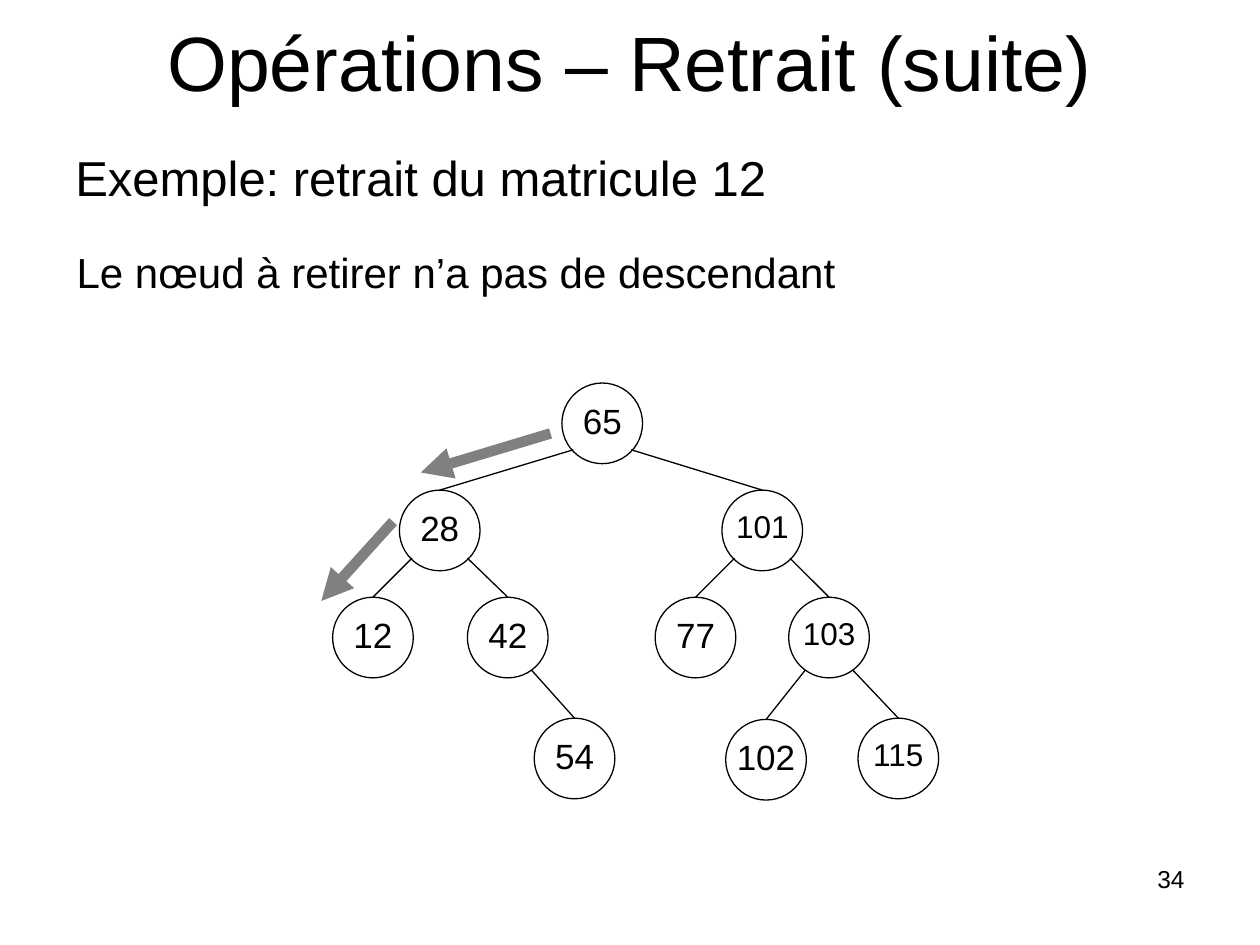
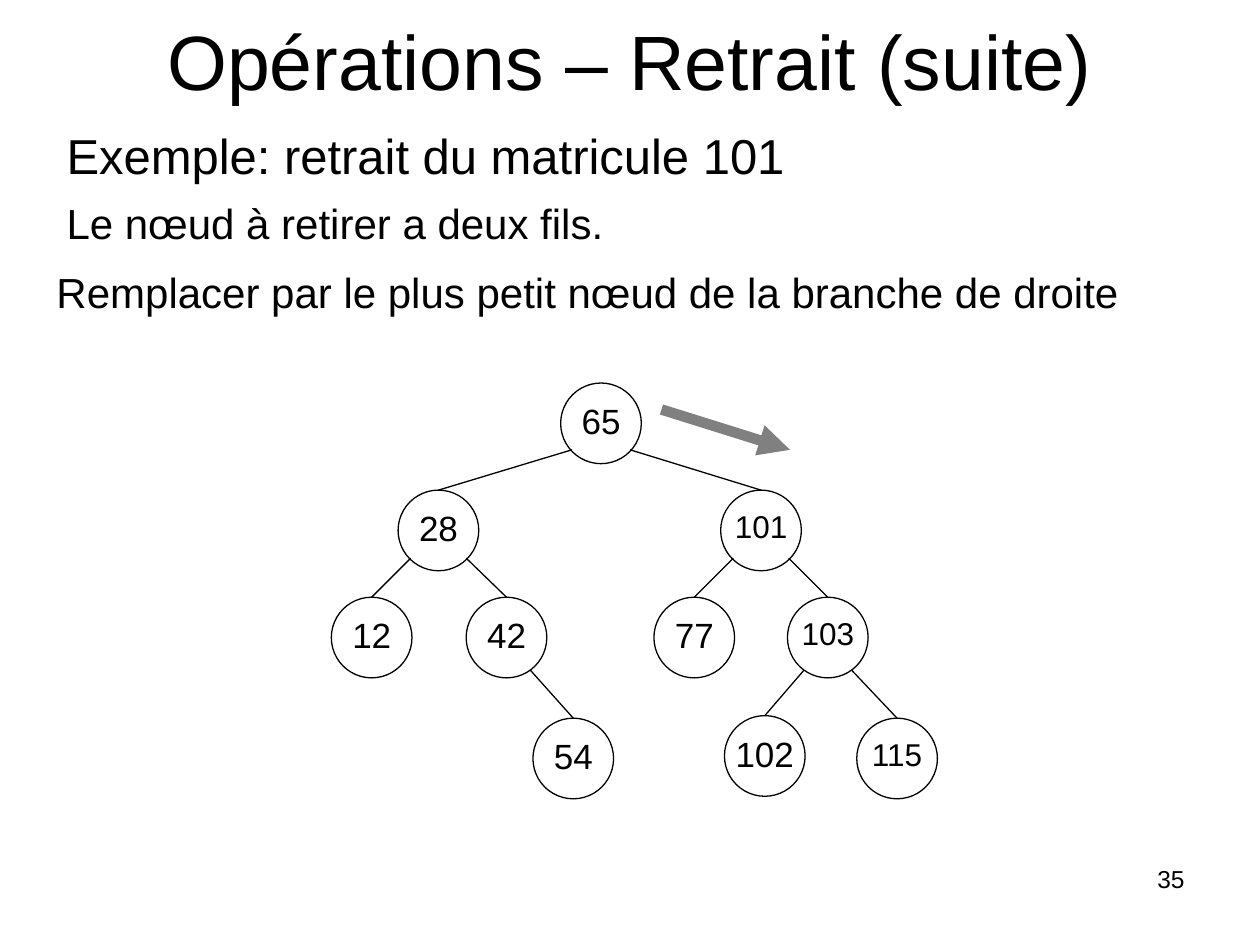
from lxml import etree
from pptx import Presentation
from pptx.dml.color import RGBColor
from pptx.enum.shapes import MSO_CONNECTOR, MSO_SHAPE
from pptx.enum.text import MSO_ANCHOR, PP_ALIGN
from pptx.oxml.ns import qn
from pptx.util import Inches, Pt

LEFT, MID, RIGHT = PP_ALIGN.LEFT, PP_ALIGN.CENTER, PP_ALIGN.RIGHT
TOP, CENTRE = MSO_ANCHOR.TOP, MSO_ANCHOR.MIDDLE
OVAL, LINE = MSO_SHAPE.OVAL, MSO_CONNECTOR.STRAIGHT
BLACK = RGBColor(0, 0, 0)
GREY = RGBColor(0x80, 0x80, 0x80)
FONT = "Arial"

TITLE = "Opérations – Retrait (suite)"

NODES = {
    "65": (4.46, 0, None),
    "28": (3.17, 1, "65"),
    "101": (5.73, 1, "65"),
    "12": (2.64, 2, "28"),
    "42": (3.71, 2, "28"),
    "77": (5.2, 2, "101"),
    "103": (6.26, 2, "101"),
    "54": (4.24, 3, "42"),
    "102": (5.76, 3, "103"),
    "115": (6.81, 3, "103"),
}
SMALL = {"101", "103", "115"}
ROWS = [3.04, 3.89, 4.74, 5.7]
FEET = [(0.23, 0.21), (0.22, 0.22), (0.19, 0.26)]
SIZE = 0.64
INSET = 0.16
WIDE = {(2, 20): 0.32, (3, 18): 0.44, (3, 20): 0.5}

SLIDES = [
    {
        "page": "34", "top": -0.1, "shift": 0, "drop": {"102": 0.01},
        "notes": [
            ("Exemple: retrait du matricule 12", (0.5, 1.16, 9, 4.95), 28, True),
            ("Le nœud à retirer n’a pas de descendant", (0.51, 1.94, 6.3, 0.47), 24, True),
        ],
        "arrows": [((4.37, 3.44), (3.34, 3.75)), ((3.12, 4.14), (2.55, 4.77))],
    },
    {
        "page": "35", "top": -0.11, "shift": -0.01, "drop": {"102": -0.02},
        "notes": [
            ("Exemple: retrait du matricule 101", (0.43, 0.99, 9, 4.95), 28, True),
            ("Le nœud à retirer a deux fils.", (0.43, 1.55, 5.04, 0.47), 24, True),
            ("Remplacer par le plus petit nœud de la branche de droite",
             (0.35, 2.1, 8.63, 0.47), 24, False),
        ],
        "arrows": [((5.25, 3.25), (6.27, 3.57))],
    },
]


def write(shapes, text, box, size, align=LEFT, anchor=TOP, wrap=True, pad=(0.1, 0.05)):
    frame = shapes.add_textbox(*map(Inches, box)).text_frame
    wide, high = map(Inches, pad)
    look = {
        "word_wrap": wrap, "vertical_anchor": anchor,
        "margin_left": wide, "margin_right": wide,
        "margin_top": high, "margin_bottom": high,
    }
    for name, value in look.items():
        setattr(frame, name, value)
    para = frame.paragraphs[0]
    para.alignment = align
    para.line_spacing = 0.93
    run = para.add_run()
    run.text = text
    for name, value in {"name": FONT, "size": Pt(size)}.items():
        setattr(run.font, name, value)
    run.font.color.rgb = BLACK


def join(shapes, start, end, color=BLACK, width=0.75, head=False):
    link = shapes.add_connector(LINE, *map(Inches, (*start, *end)))
    link.line.color.rgb = color
    link.line.width = Pt(width)
    props = link._element.spPr
    if head:
        etree.SubElement(props.find(qn("a:ln")), qn("a:tailEnd"), type="triangle")
    etree.SubElement(props, qn("a:effectLst"))


def draw_node(shapes, label, left, top):
    group = shapes.add_group_shape().shapes
    disc = group.add_shape(OVAL, *map(Inches, (left, top, SIZE, SIZE)))
    disc.shadow.inherit = False
    disc.fill.background()
    disc.line.color.rgb = BLACK
    disc.line.width = Pt(0.75)
    size = 18 if label in SMALL else 20
    wide = WIDE[len(label), size]
    box = (left + (SIZE - wide) / 2, top + INSET, wide, 0.31)
    write(group, label, box, size, MID, wrap=False, pad=(0, 0))


def draw_tree(shapes, shift, drop):
    half = SIZE / 2
    for label, (left, row, above) in NODES.items():
        left += shift
        top = ROWS[row] + drop.get(label, 0)
        if above:
            base, level, _ = NODES[above]
            dx, dy = FEET[level]
            side = 1 if left > base else -1
            foot = (base + shift + half + side * dx, ROWS[level] + half + dy)
            join(shapes, foot, (left + half, top))
        draw_node(shapes, label, left, top)


def main():
    deck = Presentation()
    deck.slide_width, deck.slide_height = Inches(10), Inches(7.5)
    for page in SLIDES:
        shapes = deck.slides.add_slide(deck.slide_layouts[6]).shapes
        write(shapes, TITLE, (0.5, page["top"], 9, 1.25), 44, MID, CENTRE)
        for text, box, size, wrap in page["notes"]:
            write(shapes, text, box, size, wrap=wrap)
        draw_tree(shapes, page["shift"], page["drop"])
        for start, end in page["arrows"]:
            join(shapes, start, end, GREY, 6, True)
        write(shapes, page["page"], (7.17, 6.83, 2.33, 0.52), 14, RIGHT)
    deck.save("out.pptx")


if __name__ == "__main__":
    main()
